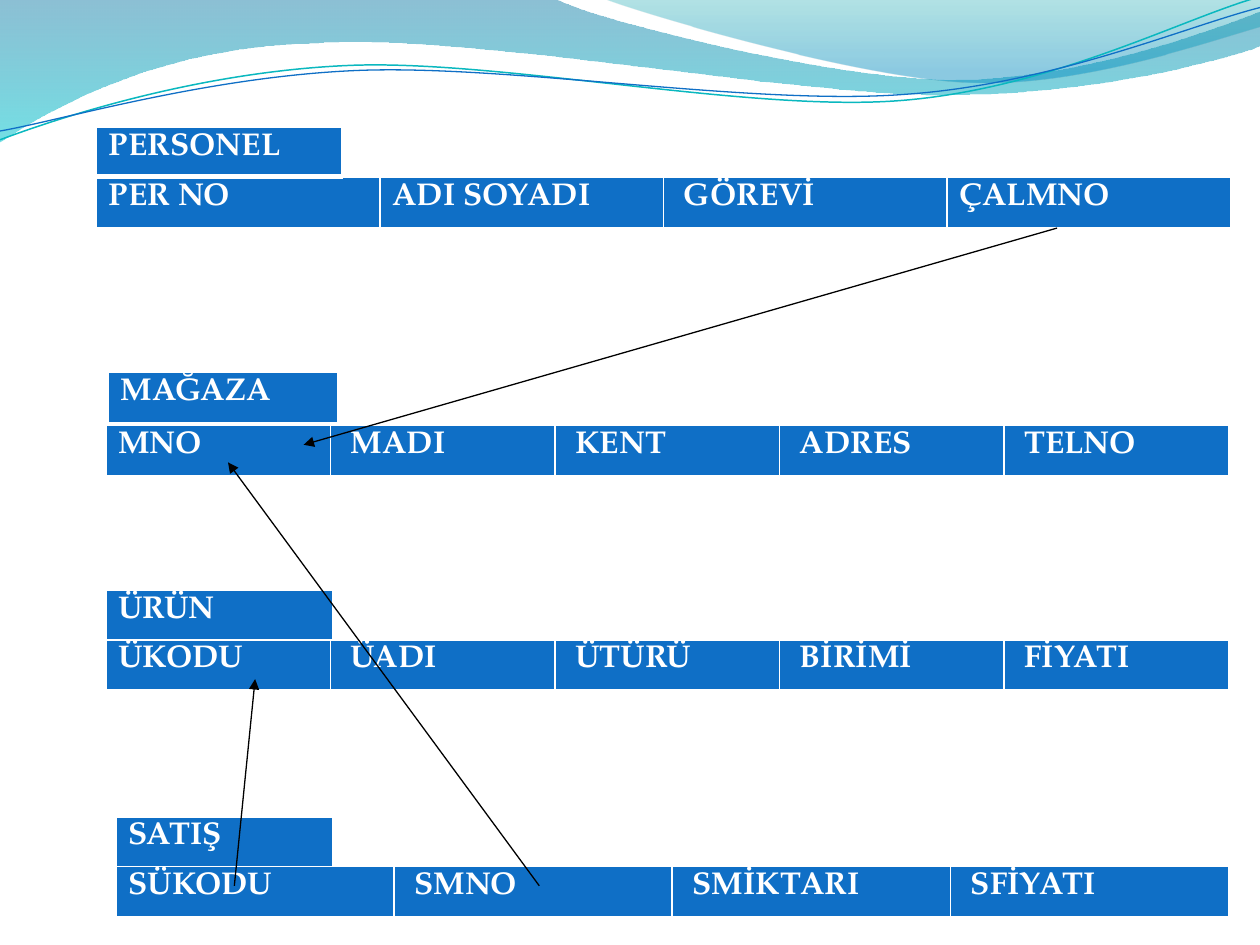
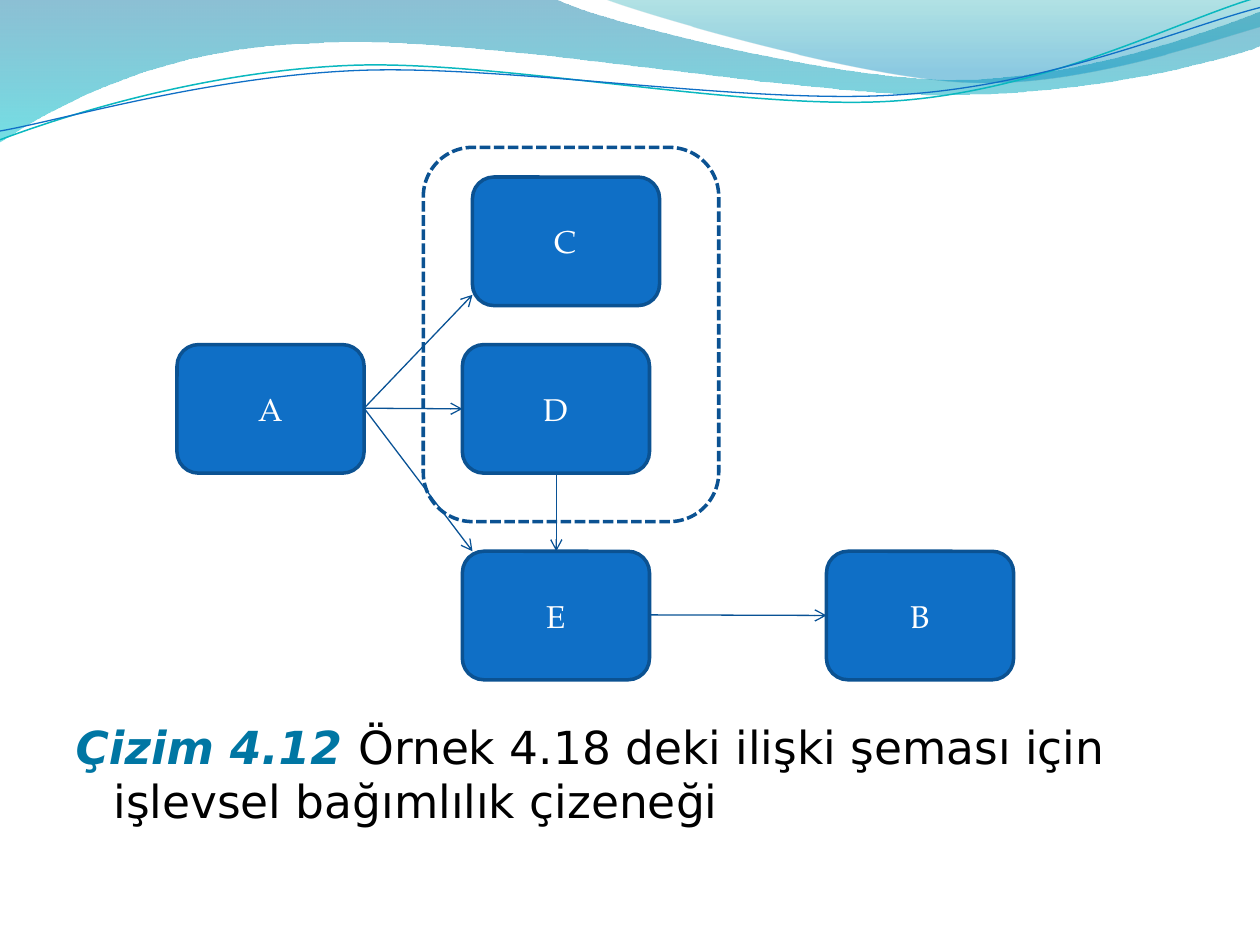
from lxml.etree import SubElement
from pptx import Presentation
from pptx.dml.color import RGBColor
from pptx.enum.dml import MSO_LINE
from pptx.enum.shapes import MSO_CONNECTOR, MSO_SHAPE
from pptx.enum.text import MSO_ANCHOR, MSO_AUTO_SIZE, PP_ALIGN
from pptx.oxml import parse_xml
from pptx.oxml.ns import nsdecls, qn
from pptx.util import Inches, Pt

COLUMNS, ROWS = 100, 75
WIDTH, HEIGHT = Inches(10), Inches(7.5)
BLUE, DARK_BLUE, ARROW_BLUE = "0F6FC6", "0B5292", "095295"
TEAL, WHITE, BLACK = "0AB8BF", "FFFFFF", "000000"
SERIF, SANS = "TeX Gyre Pagella", "DejaVu Sans"

BANDS = [
    ([(0, 0), (44, -0.1),
      (47.6, 1.7, 66.4, 6.3, 75.8, 6.3), (85.3, 6.3, 95.8, 2.6, 100, 0.9),
      (100.1, 3.6),
      (98.3, 4.4, 87, 7.6, 74.6, 7.5), (62.2, 7.5, 38.2, 2.8, 25.7, 3.4),
      (12.9, 3.6, 4.6, 8.3, -0.1, 11.3), (0, 0)],
     [(0, "0074A1", 45), (1, "00C6CF", 55)]),
    ([(47.9, -0.1),
      (50.9, 1.1, 68.2, 6.2, 76.9, 6.5), (85.6, 6.9, 96.1, 3.2, 100, 2.1),
      (100, 0), (47.9, -0.1)],
     [(0, "00A1A9", 30), (0.8, "008BBF", 45)]),
]
STROKES = [
    ([(0, 11.1), (4.8, 9.3, 15.8, 5.7, 27.7, 5.2),
      (39.5, 4.7, 59.3, 8.9, 71.3, 8), (83.3, 7.1, 93.8, 1.5, 99.8, -0.2)],
     TEAL, 0.85),
    ([(0, 10.4), (4.7, 9.6, 16.4, 6.1, 28.3, 5.6),
      (40.3, 5.1, 59.7, 8.4, 71.7, 7.5), (83.6, 6.7, 94.1, 2.1, 100, 0.6)],
     BLUE, 0.75),
]

STRIPS = [
    ((7.65, 14.1, 90, 4.1), ["PER NO", "ADI SOYADI", " GÖREVİ", "ÇALMNO"]),
    ((7.65, 10.1, 19.5, 3.9), ["PERSONEL"]),
    ((8.6, 29.55, 18.2, 4.1), ["MAĞAZA"]),
    ((8.4, 33.75, 89.1, 4.1), ["MNO", " MADI", " KENT", " ADRES", " TELNO"]),
    ((8.4, 46.85, 18, 4.1), ["ÜRÜN"]),
    ((8.4, 50.8, 89.1, 4.1),
     ["ÜKODU", " ÜADI", " ÜTÜRÜ", " BİRİMİ", " FİYATI"]),
    ((9.2, 64.85, 17.2, 4.1), ["SATIŞ"]),
    ((9.2, 68.75, 88.3, 4.1), ["SÜKODU", " SMNO", " SMİKTARI", " SFİYATI"]),
]
FOREIGN_KEYS = [
    ((83.9, 18.1), (24.1, 35.3)),
    ((42.8, 70.3), (18.1, 36.7)),
    ((18.6, 70.3), (20.25, 53.9)),
]

NODE_SIZE = (14.85, 10.2)
NODES = {"A": (14.05, 27.35), "E": (36.7, 43.75), "D": (36.7, 27.35),
         "C": (37.5, 14.05), "B": (65.6, 43.75)}
DEPENDENCIES = [
    ((28.9, 32.4), (37.5, 23.4)),
    ((28.9, 32.4), (36.7, 32.45)),
    ((28.9, 32.4), (37.5, 43.75)),
    ((44.15, 37.5), (44.15, 43.75)),
    ((51.6, 48.8), (65.6, 48.85)),
]


def across(columns):
    return round(WIDTH * columns / COLUMNS)


def down(rows):
    return round(HEIGHT * rows / ROWS)


def place(left, top, width, height):
    return across(left), down(top), across(width), down(height)


def color(value):
    return RGBColor.from_string(value)


def assign(target, values):
    for name, value in values.items():
        setattr(target, name, value)


def paint(fill, value):
    fill.solid()
    fill.fore_color.rgb = color(value)


def stroke(line, value, points):
    line.color.rgb = color(value)
    line.width = Pt(points)


def write(para, text, ink, face, size, **style):
    span = para.add_run()
    span.text = text
    assign(span.font, {"name": face, "size": Pt(size), **style})
    span.font.color.rgb = color(ink)


def add_outline(page, segments, close):
    points = [(across(x), down(y)) for segment in segments
              for x, y in zip(segment[::2], segment[1::2])]
    builder = page.shapes.build_freeform(*points[0])
    builder.add_line_segments(points[1:], close=close)
    outline = builder.convert_to_shape()
    outline.shadow.inherit = False
    bend(outline, segments[1:])
    return outline


def bend(outline, segments):
    steps = iter(list(outline.element.spPr.iter(qn("a:lnTo"))))
    for segment in segments:
        group = [next(steps) for _ in range(len(segment) // 2)]
        if len(group) == 3:
            curve = parse_xml(f'<a:cubicBezTo {nsdecls("a")}/>')
            group[0].addprevious(curve)
            for step in group:
                curve.append(step[0])
                step.getparent().remove(step)


def add_band(page, segments, stops):
    band = add_outline(page, segments, True)
    band.line.fill.background()
    band.fill.gradient()
    band.fill.gradient_angle = 270
    for stop, (position, value, _) in zip(band.fill.gradient_stops, stops):
        stop.position = position
        stop.color.rgb = color(value)
    inks = band.element.spPr.iter(qn("a:srgbClr"))
    for ink, (_, _, opacity) in zip(list(inks), stops):
        SubElement(ink, qn("a:alpha"), val=str(opacity * 1000))
    return band


def add_stroke(page, segments, value, points):
    wave = add_outline(page, segments, False)
    wave.fill.background()
    stroke(wave.line, value, points)
    return wave


def decorate_master(deck, page):
    waves = [add_band(page, *band) for band in BANDS]
    waves += [add_stroke(page, *line) for line in STROKES]
    tree = deck.slide_master.shapes.element
    for order, wave in enumerate(waves):
        wave.element.nvSpPr.cNvPr.set("id", str(100 + order))
        tree.insert(2 + order, wave.element)


def border(side, points):
    return parse_xml(
        f'<a:{side} {nsdecls("a")} w="{Pt(points)}"><a:solidFill>'
        f'<a:srgbClr val="{WHITE}"/></a:solidFill></a:{side}>')


def add_strip(page, area, texts):
    frame = page.shapes.add_table(1, len(texts), *place(*area))
    table = frame.table
    assign(table, {"first_row": False, "horz_banding": False})
    for column in table.columns:
        column.width = across(area[2] / len(texts))
    for cell, text in zip(table.rows[0].cells, texts):
        paint(cell.fill, BLUE)
        para = cell.text_frame.paragraphs[0]
        para.line_spacing = 0.87
        write(para, text, WHITE, SERIF, 18, bold=True)
    sides = {"lnL": 1, "lnR": 1, "lnT": 1, "lnB": 3}
    for properties in frame.element.iter(qn("a:tcPr")):
        for order, (side, points) in enumerate(sides.items()):
            properties.insert(order, border(side, points))


def add_arrow(page, start, end, value, head):
    arrow = page.shapes.add_connector(
        MSO_CONNECTOR.STRAIGHT, across(start[0]), down(start[1]),
        across(end[0]), down(end[1]))
    stroke(arrow.line, value, 0.75)
    properties = arrow.element.spPr
    SubElement(properties.find(qn("a:ln")), qn("a:tailEnd"), type=head)
    SubElement(properties, qn("a:effectLst"))


def add_rounded(page, left, top, width, height):
    box = page.shapes.add_shape(
        MSO_SHAPE.ROUNDED_RECTANGLE, *place(left, top, width, height))
    box.shadow.inherit = False
    stroke(box.line, DARK_BLUE, 2)
    return box


def add_node(page, name, corner):
    box = add_rounded(page, *corner, *NODE_SIZE)
    paint(box.fill, BLUE)
    box.text_frame.vertical_anchor = MSO_ANCHOR.MIDDLE
    para = box.text_frame.paragraphs[0]
    para.alignment = PP_ALIGN.CENTER
    write(para, name, WHITE, SERIF, 18)


def add_group_frame(page):
    frame = add_rounded(page, 33.6, 11.7, 23.45, 29.7)
    frame.fill.background()
    frame.line.dash_style = MSO_LINE.SQUARE_DOT


def fill_caption(page, label, text):
    box = page.placeholders[1]
    sides = ("left", "top", "width", "height")
    assign(box, dict(zip(sides, place(5, 56.55, 90, 12.65))))
    assign(box.text_frame, {"auto_size": MSO_AUTO_SIZE.NONE, "word_wrap": True,
                            "vertical_anchor": MSO_ANCHOR.TOP})
    para = box.text_frame.paragraphs[0]
    para.space_before = Pt(0)
    write(para, label, "0076A3", SANS, 26, bold=True, italic=True)
    write(para, text, BLACK, SANS, 26, bold=False, italic=False)
    properties = box.element.find(".//" + qn("a:pPr"))
    properties.set("marL", str(across(3)))
    properties.set("indent", str(-across(3)))
    SubElement(properties, qn("a:buNone"))


def build_relations(page):
    for area, texts in STRIPS:
        add_strip(page, area, texts)
    for start, end in FOREIGN_KEYS:
        add_arrow(page, start, end, BLACK, "triangle")


def build_dependencies(page):
    title = page.shapes.title.element
    title.getparent().remove(title)
    fill_caption(page, "Çizim 4.12 ",
                 "Örnek 4.18 deki ilişki şeması için işlevsel bağımlılık çizeneği")
    for name, corner in NODES.items():
        add_node(page, name, corner)
    add_group_frame(page)
    for start, end in DEPENDENCIES:
        add_arrow(page, start, end, ARROW_BLUE, "arrow")


def main():
    deck = Presentation()
    assign(deck, {"slide_width": WIDTH, "slide_height": HEIGHT})
    relations = deck.slides.add_slide(deck.slide_layouts.get_by_name("Blank"))
    decorate_master(deck, relations)
    build_relations(relations)
    build_dependencies(deck.slides.add_slide(
        deck.slide_layouts.get_by_name("Title and Content")))
    deck.save("out.pptx")


if __name__ == "__main__":
    main()
